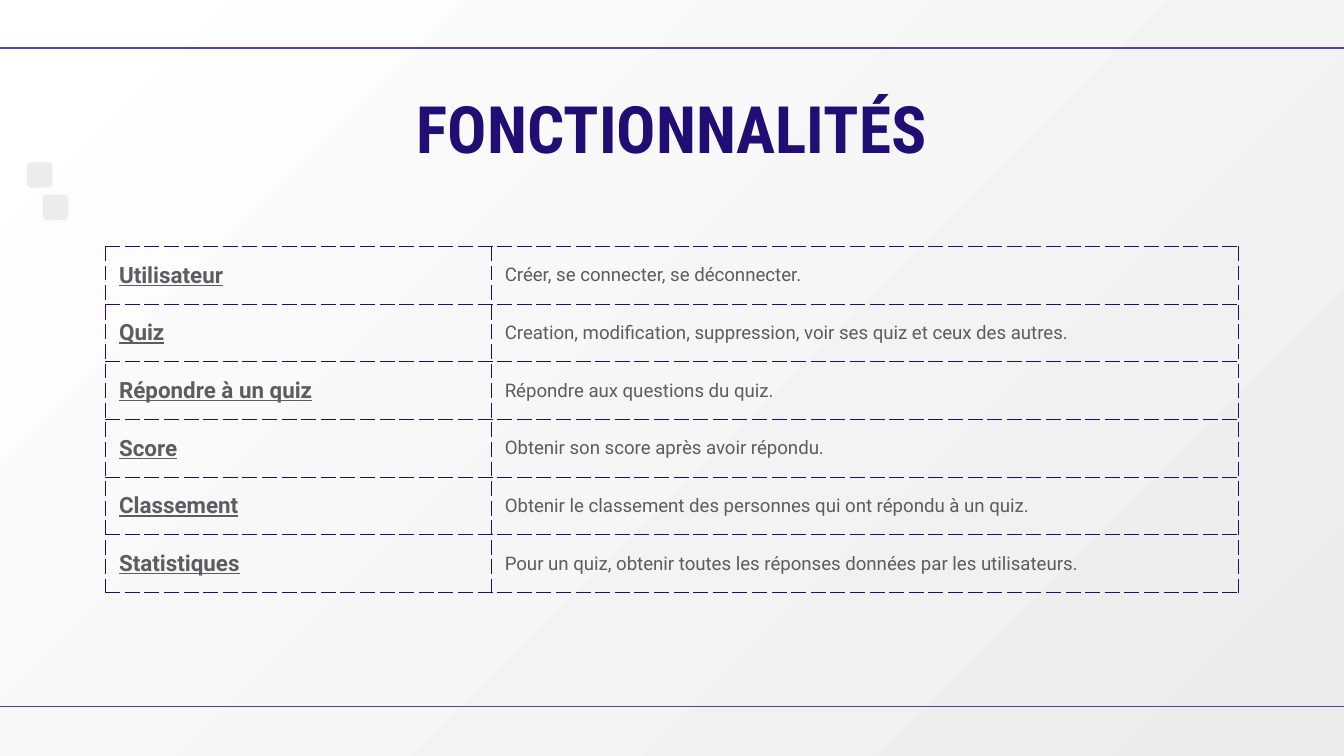
from lxml.etree import SubElement
from pptx import Presentation
from pptx.dml.color import RGBColor
from pptx.enum.shapes import MSO_CONNECTOR, MSO_SHAPE
from pptx.enum.text import MSO_ANCHOR, PP_ALIGN
from pptx.oxml.ns import qn
from pptx.util import Cm, Pt

WHITE = RGBColor(0xFF, 0xFF, 0xFF)
LIGHT_GREY = RGBColor(0xEC, 0xEC, 0xEC)
TEXT_GREY = RGBColor(0x5C, 0x5C, 0x61)
NAVY = RGBColor(0x20, 0x0E, 0x74)
PURPLE = RGBColor(0x5C, 0x3D, 0xA4)

SLIDE_WIDTH = Cm(25.4)
SLIDE_HEIGHT = Cm(14.29)
INSET = Cm(0.25)
COLUMN_WIDTHS = (Cm(7.29), Cm(14.12))
ROW_HEIGHT = Cm(1.09)

FEATURES = (
    ("Utilisateur", "Créer, se connecter, se déconnecter."),
    ("Quiz", "Creation, modification, suppression, voir ses quiz et ceux des autres."),
    ("Répondre à un quiz", "Répondre aux questions du quiz."),
    ("Score", "Obtenir son score après avoir répondu."),
    ("Classement", "Obtenir le classement des personnes qui ont répondu à un quiz."),
    ("Statistiques", "Pour un quiz, obtenir toutes les réponses données par les utilisateurs."),
)


def set_background(slide):
    fill = slide.background.fill
    fill.gradient()
    fill.gradient_angle = 315
    for stop, color in zip(fill.gradient_stops, (WHITE, LIGHT_GREY)):
        stop.color.rgb = color


def write_text(text_frame, text, size, color=TEXT_GREY, font="Roboto",
               bold=False, underline=False, align=PP_ALIGN.LEFT):
    paragraph = text_frame.paragraphs[0]
    paragraph.alignment = align
    run = paragraph.add_run()
    run.text = text
    run.font.name = font
    run.font.size = Pt(size)
    run.font.bold = bold
    run.font.underline = underline
    run.font.color.rgb = color


def add_rule(slide, top):
    line = slide.shapes.add_connector(MSO_CONNECTOR.STRAIGHT, 0, top, SLIDE_WIDTH, top)
    line.line.color.rgb = PURPLE
    line.line.width = Pt(0.75)
    SubElement(line._element.spPr, qn("a:effectLst"))


def add_square(slide, left, top):
    square = slide.shapes.add_shape(
        MSO_SHAPE.ROUNDED_RECTANGLE, left, top, Cm(0.48), Cm(0.48))
    square.shadow.inherit = False
    square.fill.solid()
    square.fill.fore_color.rgb = LIGHT_GREY
    square.line.fill.background()


def add_title(slide, text):
    box = slide.shapes.add_textbox(Cm(1.98), Cm(1.42), Cm(21.44), Cm(1.5))
    frame = box.text_frame
    frame.word_wrap = True
    frame.margin_left = frame.margin_right = INSET
    frame.margin_top = frame.margin_bottom = INSET
    write_text(frame, text, 35, color=NAVY, font="Roboto Condensed",
               bold=True, align=PP_ALIGN.CENTER)


def set_dashed_borders(cell):
    properties = cell._tc.get_or_add_tcPr()
    for position, side in enumerate(("lnL", "lnR", "lnT", "lnB")):
        border = SubElement(properties, qn(f"a:{side}"), w=str(Pt(0.75)))
        fill = SubElement(border, qn("a:solidFill"))
        SubElement(fill, qn("a:srgbClr"), val=str(NAVY))
        SubElement(border, qn("a:prstDash"), val="dash")
        properties.insert(position, border)


def format_cell(cell):
    cell.fill.background()
    cell.vertical_anchor = MSO_ANCHOR.MIDDLE
    cell.margin_left = cell.margin_right = INSET
    cell.margin_top = cell.margin_bottom = 0
    set_dashed_borders(cell)


def add_feature_table(slide):
    table = slide.shapes.add_table(
        len(FEATURES), len(COLUMN_WIDTHS), Cm(2), Cm(4.66),
        sum(COLUMN_WIDTHS), ROW_HEIGHT * len(FEATURES)).table
    table.first_row = False
    table.horz_banding = False
    for column, width in zip(table.columns, COLUMN_WIDTHS):
        column.width = width
    for row, (name, description) in zip(table.rows, FEATURES):
        row.height = ROW_HEIGHT
        name_cell, description_cell = row.cells
        write_text(name_cell.text_frame, name, 12, bold=True, underline=True)
        write_text(description_cell.text_frame, description, 10)
        for cell in row.cells:
            format_cell(cell)


def main():
    """Build the slide that lists the features of the quiz application."""
    presentation = Presentation()
    presentation.slide_width = SLIDE_WIDTH
    presentation.slide_height = SLIDE_HEIGHT
    slide = presentation.slides.add_slide(presentation.slide_layouts[6])
    set_background(slide)
    for top in (Cm(0.91), Cm(13.36)):
        add_rule(slide, top)
    for left, top in ((Cm(0.81), Cm(3.68)), (Cm(0.51), Cm(3.07))):
        add_square(slide, left, top)
    add_title(slide, "FONCTIONNALITÉS")
    add_feature_table(slide)
    presentation.save("out.pptx")


if __name__ == "__main__":
    main()
